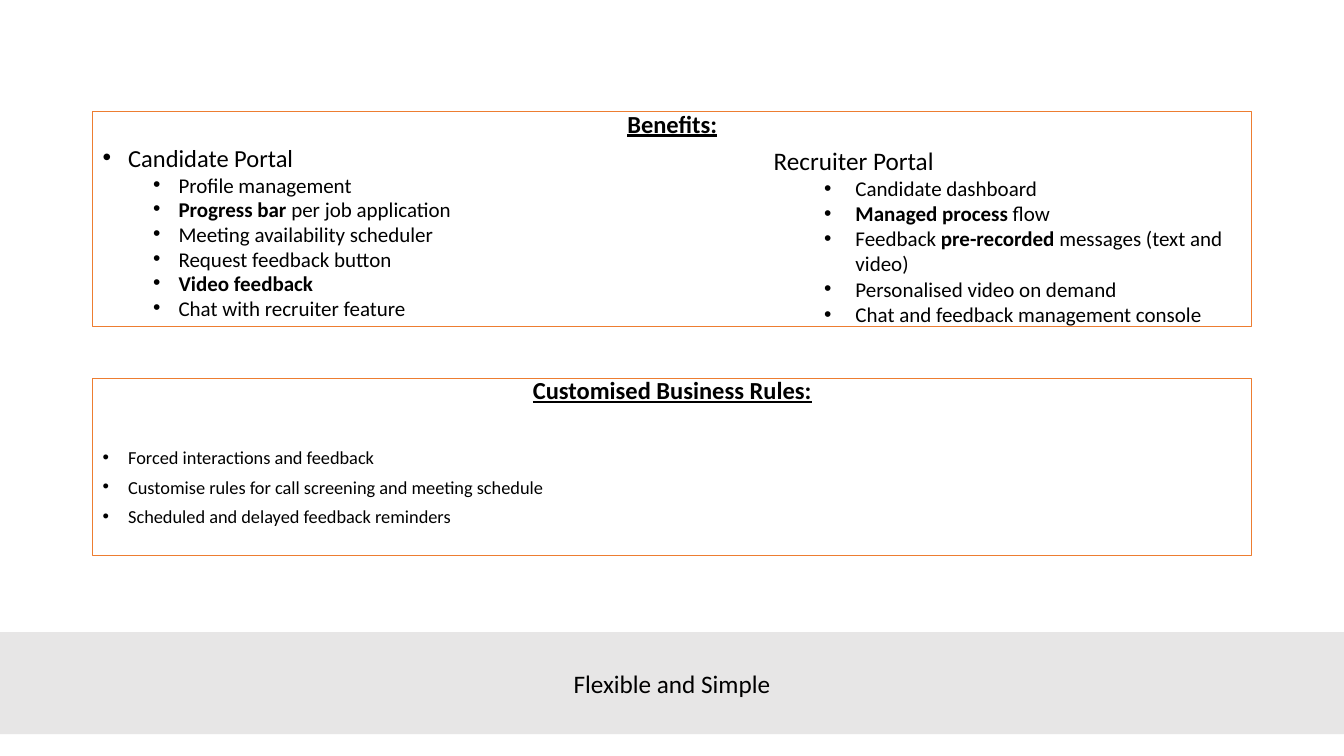
from lxml.etree import SubElement
from pptx import Presentation
from pptx.dml.color import RGBColor
from pptx.enum.shapes import MSO_SHAPE
from pptx.enum.text import MSO_ANCHOR, PP_ALIGN
from pptx.oxml.ns import qn
from pptx.util import Cm, Pt

COLORS = {"text": "000000", "border": "ED7D31", "band": "E7E6E6"}
CANDIDATE = ["Profile management", "**Progress bar** per job application",
             "Meeting availability scheduler", "Request feedback button",
             "**Video feedback**", "Chat with recruiter feature"]
RECRUITER = ["Candidate dashboard", "**Managed process** flow",
             "Feedback **pre-recorded** messages (text and video)",
             "Personalised video on demand", "Chat and feedback management console"]
RULES = ["Forced interactions and feedback",
         "Customise rules for call screening and meeting schedule",
         "Scheduled and delayed feedback reminders"]


def color(name):
    """Return a palette colour."""
    return RGBColor.from_string(COLORS[name])


def add_paragraph(tf, text, size, align=PP_ALIGN.LEFT, level=0, before=0,
                  spacing=1.0, bullet=None, heading=False):
    """Append a paragraph; ** marks bold and bullet is (left, hanging) in cm."""
    p = tf.paragraphs[0] if not tf.text else tf.add_paragraph()
    p.alignment, p.level = align, level
    p.space_before, p.line_spacing = Pt(before), spacing
    for i, part in enumerate(text.split("**")):
        if part:
            r = p.add_run()
            r.text = part
            r.font.name, r.font.size = "Calibri", Pt(size)
            r.font.color.rgb = color("text")
            r.font.bold = heading or i % 2 == 1
            r.font.underline = heading
    if bullet:
        left, hanging = bullet
        pPr = p._p.get_or_add_pPr()
        pPr.set("marL", str(Cm(left)))
        pPr.set("indent", str(-Cm(hanging)))
        SubElement(pPr, qn("a:buFont"), typeface="Arial")
        SubElement(pPr, qn("a:buChar"), char="•")


def add_panel(s, box, title):
    """Draw an outlined panel with a centred heading and return its text frame."""
    sp = s.shapes.add_shape(MSO_SHAPE.RECTANGLE, *map(Cm, box))
    sp.shadow.inherit = False
    sp.fill.background()
    sp.line.color.rgb = color("border")
    sp.line.width = Pt(0.75)
    tf = sp.text_frame
    tf.word_wrap = True
    tf.vertical_anchor = MSO_ANCHOR.TOP
    add_paragraph(tf, title, 17.5, PP_ALIGN.CENTER, before=10, spacing=0.7, heading=True)
    return tf


def add_benefits(s, box):
    """Draw the benefits panel with its candidate and recruiter lists."""
    tf = add_panel(s, box, "Benefits:")
    add_paragraph(tf, "Candidate Portal", 17.5, before=10, spacing=0.7, bullet=(0.64, 0.64))
    for item in CANDIDATE:
        add_paragraph(tf, item, 15, level=1, before=5, spacing=0.7, bullet=(1.91, 0.64))
    left, top, width, height = box
    sp = s.shapes.add_textbox(Cm(left + 16.91), Cm(top + 0.71), Cm(width - 17.02), Cm(height - 0.53))
    tf = sp.text_frame
    tf.word_wrap = True
    add_paragraph(tf, "Recruiter Portal", 18)
    for item in RECRUITER:
        add_paragraph(tf, item, 15, level=1, bullet=(2.06, 0.79))


def add_rules(s, box):
    """Draw the business rules panel."""
    tf = add_panel(s, box, "Customised Business Rules:")
    for i, rule in enumerate(RULES):
        add_paragraph(tf, rule, 13.1, before=10 if i else 35, spacing=0.7, bullet=(0.64, 0.64))


def add_band(s, box):
    """Draw the closing band across the slide."""
    sp = s.shapes.add_shape(MSO_SHAPE.RECTANGLE, *map(Cm, box))
    sp.shadow.inherit = False
    sp.fill.solid()
    sp.fill.fore_color.rgb = color("band")
    sp.line.fill.background()
    tf = sp.text_frame
    tf.word_wrap = True
    tf.vertical_anchor = MSO_ANCHOR.MIDDLE
    add_paragraph(tf, "Flexible and Simple", 18, PP_ALIGN.CENTER)


def main():
    """Build and save the slide."""
    prs = Presentation()
    prs.slide_width, prs.slide_height = Cm(33.87), Cm(19.05)
    s = prs.slides.add_slide(prs.slide_layouts[6])
    add_benefits(s, (2.34, 2.82, 29.21, 5.41))
    add_rules(s, (2.34, 9.53, 29.21, 4.47))
    add_band(s, (0, 15.93, 33.87, 2.57))
    prs.save("out.pptx")


main()
